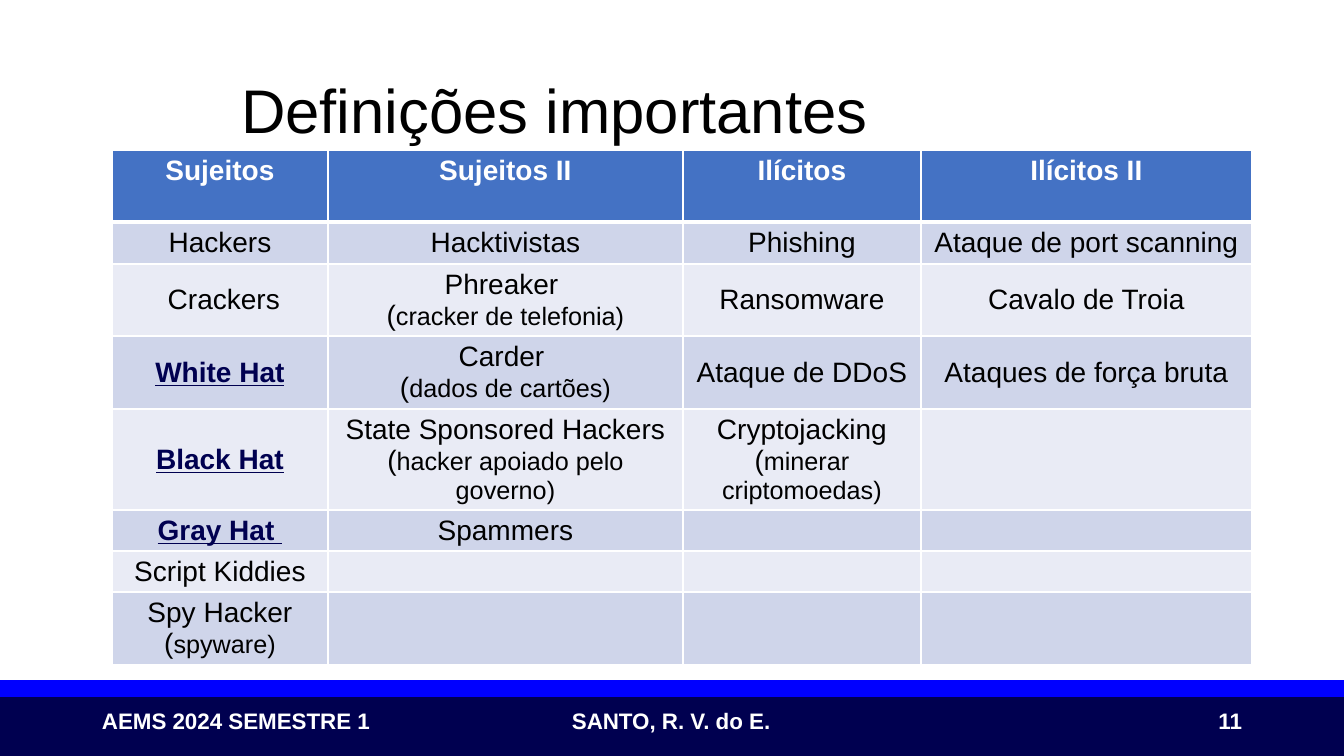
from dataclasses import dataclass

from lxml import etree
from pptx import Presentation
from pptx.dml.color import RGBColor
from pptx.enum.shapes import MSO_SHAPE
from pptx.enum.text import MSO_ANCHOR, PP_ALIGN
from pptx.oxml.ns import qn
from pptx.util import Emu, Pt

RECT = MSO_SHAPE.RECTANGLE
TOP, MIDDLE = MSO_ANCHOR.TOP, MSO_ANCHOR.MIDDLE
LEFT, CENTER, RIGHT = PP_ALIGN.LEFT, PP_ALIGN.CENTER, PP_ALIGN.RIGHT
TITLE_ONLY = 5
PX = 914400 / 100.8


@dataclass(frozen=True)
class Theme:
    font: str = "Arial"
    black: str = "000000"
    white: str = "FFFFFF"
    navy: str = "000050"
    blue: str = "0000FF"
    header: str = "4472C4"
    bands: tuple = ("CFD5EA", "E9EBF5")
    title: int = 44
    cell: int = 20
    note: int = 18
    footer: int = 16


def px(n):
    return Emu(round(n * PX))


class Deck:
    def __init__(self, theme):
        self.theme = theme
        self.prs = Presentation()
        self.prs.slide_width, self.prs.slide_height = px(1344), px(756)
        self.s = self.prs.slides.add_slide(self.prs.slide_layouts[TITLE_ONLY])

    def run(self, p, text, size, color, bold=False, underline=False):
        r = p.add_run()
        r.text = text
        f = r.font
        f.name, f.size, f.bold, f.underline = self.theme.font, Pt(size), bold, underline
        f.color.rgb = RGBColor.from_string(color)

    def title(self, text, x, y, w, h):
        sp = self.s.shapes.title
        sp.left, sp.top, sp.width, sp.height = map(px, (x, y, w, h))
        tf = sp.text_frame
        tf.vertical_anchor = MIDDLE
        p = tf.paragraphs[0]
        p.alignment, p.line_spacing = LEFT, 0.9
        self.run(p, text, self.theme.title, self.theme.black)

    def bar(self, y, h, color):
        sp = self.s.shapes.add_shape(RECT, 0, px(y), self.prs.slide_width, px(h))
        sp.shadow.inherit = False
        sp.fill.solid()
        sp.fill.fore_color.rgb = sp.line.color.rgb = RGBColor.from_string(color)
        sp.line.width = Pt(1)

    def footer(self, text, x, y, w, h, align=LEFT, anchor=TOP, wrap=False):
        tf = self.s.shapes.add_textbox(*map(px, (x, y, w, h))).text_frame
        tf.word_wrap, tf.vertical_anchor = wrap, anchor
        p = tf.paragraphs[0]
        p.alignment = align
        self.run(p, text, self.theme.footer, self.theme.white, bold=True)

    def borders(self, cell, widths):
        """Draw white cell borders; widths maps an edge letter to points."""
        tc_pr = cell._tc.get_or_add_tcPr()
        for i, (edge, width) in enumerate(widths.items()):
            ln = etree.Element(qn(f"a:ln{edge}"), w=str(Pt(width)))
            fill = etree.SubElement(ln, qn("a:solidFill"))
            etree.SubElement(fill, qn("a:srgbClr"), val=self.theme.white)
            tc_pr.insert(i, ln)

    def cell(self, cell, content, row):
        t = self.theme
        is_header = row == 0
        cell.fill.solid()
        cell.fill.fore_color.rgb = RGBColor.from_string(
            t.header if is_header else t.bands[(row - 1) % 2])
        self.borders(cell, {"L": 1, "R": 1, "T": 3 if row == 1 else 1,
                            "B": 3 if is_header else 1})
        cell.margin_top = cell.margin_bottom = px(5 if is_header else 1)
        if not content:
            return
        cell.vertical_anchor = TOP if is_header else MIDDLE
        p = cell.text_frame.paragraphs[0]
        p.alignment = CENTER
        name, note = content if isinstance(content, tuple) else (content, None)
        is_hat = name.strip().endswith("Hat")
        color = t.white if is_header else t.navy if is_hat else t.black
        self.run(p, name, t.cell, color, is_header or is_hat, is_hat)
        if note:
            p.add_line_break()
            self.run(p, "(", t.cell, color)
            self.run(p, note + ")", t.note, color)

    def table(self, x, y, widths, heights, rows):
        frame = self.s.shapes.add_table(len(heights), len(widths), px(x), px(y),
                                        px(sum(widths)), px(sum(heights)))
        table = frame.table
        for col, w in zip(table.columns, widths):
            col.width = px(w)
        for i, (h, contents) in enumerate(zip(heights, rows)):
            table.rows[i].height = px(h)
            for j, content in enumerate(contents):
                self.cell(table.cell(i, j), content, i)


DEFINITIONS = [
    ["Sujeitos", "Sujeitos II", "Ilícitos", "Ilícitos II"],
    ["Hackers", "Hacktivistas", "Phishing", "Ataque de port scanning"],
    [" Crackers", ("Phreaker ", "cracker de telefonia"), "Ransomware", "Cavalo de Troia"],
    ["White Hat", ("Carder ", "dados de cartões"), "Ataque de DDoS",
     "Ataques de força bruta"],
    ["Black Hat", ("State Sponsored Hackers", "hacker apoiado pelo governo"),
     ("Cryptojacking", "minerar criptomoedas"), ""],
    ["Gray Hat ", "Spammers", "", ""],
    ["Script Kiddies", "", "", ""],
    [("Spy Hacker", "spyware"), "", "", ""],
]


def main():
    theme = Theme()
    deck = Deck(theme)
    deck.bar(696, 60, theme.navy)
    deck.bar(681, 15, theme.blue)
    deck.footer("AEMS 2024 SEMESTRE 1", 92, 702, 291, 37)
    deck.footer("SANTO, R. V. do E.", 562, 702, 222, 37)
    deck.footer("11", 950, 701, 302, 40, RIGHT, MIDDLE, wrap=True)
    deck.title("Definições importantes", 231, 41, 1020, 146)
    deck.table(112, 150, [216, 355, 238, 331],
               [72, 42, 72, 73, 101, 41, 41, 73], DEFINITIONS)
    deck.prs.save("out.pptx")


if __name__ == "__main__":
    main()
